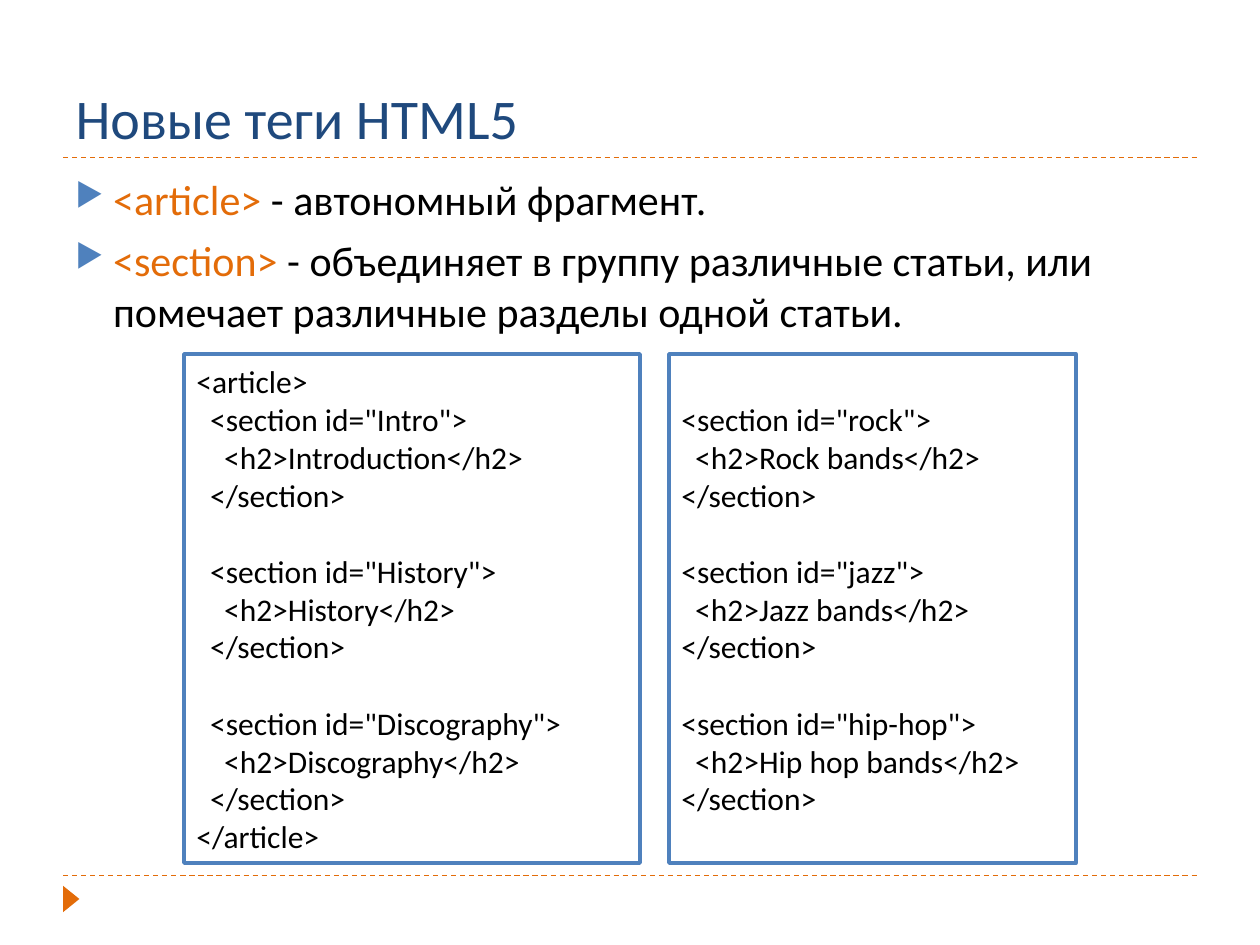
from typing import NamedTuple

from lxml import etree
from pptx import Presentation
from pptx import util as u
from pptx.dml.color import RGBColor
from pptx.enum import dml, shapes, text
from pptx.oxml import ns

NAVY = RGBColor(0x1F, 0x49, 0x7D)
BLUE = RGBColor(0x4F, 0x81, 0xBD)
ORANGE = RGBColor(0xE3, 0x6C, 0x09)
BLACK = RGBColor(0, 0, 0)
WHITE = RGBColor(0xFF, 0xFF, 0xFF)

FONT = "Calibri"
WIDTH, HEIGHT = 10, 7.5
MARGIN = 0.05 * WIDTH
CONTENT = WIDTH - 2 * MARGIN
TITLE_RULE, FOOTER_RULE = 1.25, 6.95
CODE_STEP = u.Inches(0.11)    # one level of code nesting
CODE_GAP = u.Pt(22)           # one line of code

BULLETS = [
    ("<article> ", "- автономный фрагмент."),
    ("<section> ", "- объединяет в группу различные статьи, "
                   "или помечает различные разделы одной статьи."),
]
ARTICLE_SECTIONS = [("Intro", "Introduction"), ("History", "History"),
                    ("Discography", "Discography")]
BAND_SECTIONS = [("rock", "Rock bands"), ("jazz", "Jazz bands"),
                 ("hip-hop", "Hip hop bands")]


class Box(NamedTuple):
    left: float
    top: float
    width: float
    height: float

    def emu(self):
        return [u.Inches(length) for length in self]


def apply(target, **values):
    for name, value in values.items():
        setattr(target, name, value)


def add_span(para, words, size, color):
    span = para.add_run()
    span.text = words
    apply(span.font, name=FONT, size=u.Pt(size))
    span.font.color.rgb = color


def next_para(frame, index):
    return frame.paragraphs[0] if index == 0 else frame.add_paragraph()


def add_title(page, box, words):
    title = page.shapes.title
    apply(title, **dict(zip(("left", "top", "width", "height"), box.emu())))
    frame = title.text_frame
    apply(frame, vertical_anchor=text.MSO_ANCHOR.BOTTOM, word_wrap=True,
          auto_size=text.MSO_AUTO_SIZE.NONE)
    frame.paragraphs[0].alignment = text.PP_ALIGN.LEFT
    add_span(frame.paragraphs[0], words, 32, NAVY)


def add_rule(page, box):
    left, top, width, _ = box.emu()
    rule = page.shapes.add_connector(
        shapes.MSO_CONNECTOR.STRAIGHT, left, top, left + width, top)
    rule.line.color.rgb = ORANGE
    apply(rule.line, width=u.Pt(0.75), dash_style=dml.MSO_LINE.DASH)
    etree.SubElement(rule._element.spPr, ns.qn("a:effectLst"))


def add_marker(page, box):
    marker = page.shapes.add_shape(
        shapes.MSO_SHAPE.ISOSCELES_TRIANGLE, *box.emu())
    marker.rotation = 90
    marker.shadow.inherit = False
    marker.fill.solid()
    marker.fill.fore_color.rgb = ORANGE
    marker.line.fill.background()


def set_bullet(para):
    props = para._p.get_or_add_pPr()
    indent = u.Inches(0.3)
    props.set("marL", str(indent))
    props.set("indent", str(-indent))
    color = etree.SubElement(props, ns.qn("a:buClr"))
    etree.SubElement(color, ns.qn("a:srgbClr"), val=str(BLUE))
    etree.SubElement(props, ns.qn("a:buSzPct"), val="76000")
    etree.SubElement(props, ns.qn("a:buChar"), char="▶")


def add_bullets(page, box, items):
    frame = page.shapes.add_textbox(*box.emu()).text_frame
    frame.word_wrap = True
    for index, (tag, meaning) in enumerate(items):
        para = next_para(frame, index)
        para.space_before = u.Pt(6)
        set_bullet(para)
        add_span(para, tag, 24, ORANGE)
        add_span(para, meaning, 24, BLACK)


def section_lines(sections, level):
    """List code lines as (nesting level, starts a new block, words)."""
    lines = []
    for index, (name, heading) in enumerate(sections):
        lines += [(level, index > 0, f'<section id="{name}">'),
                  (level + 1, False, f"<h2>{heading}</h2>"),
                  (level, False, "</section>")]
    return lines


def add_code(page, box, lines):
    panel = page.shapes.add_shape(shapes.MSO_SHAPE.RECTANGLE, *box.emu())
    panel.shadow.inherit = False
    panel.fill.solid()
    panel.fill.fore_color.rgb = WHITE
    panel.line.color.rgb = BLUE
    panel.line.width = u.Pt(2)
    frame = panel.text_frame
    apply(frame, word_wrap=True, vertical_anchor=text.MSO_ANCHOR.MIDDLE)
    for index, (level, new_block, words) in enumerate(lines):
        para = next_para(frame, index)
        para.alignment = text.PP_ALIGN.LEFT
        if new_block:
            para.space_before = CODE_GAP
        para._p.get_or_add_pPr().set("marL", str(level * CODE_STEP))
        add_span(para, words, 18, BLACK)


def main():
    deck = Presentation()
    apply(deck, slide_width=u.Inches(WIDTH), slide_height=u.Inches(HEIGHT))
    page = deck.slides.add_slide(deck.slide_layouts[5])

    # Frame of the page
    for top in (FOOTER_RULE, TITLE_RULE):
        add_rule(page, Box(MARGIN, top, CONTENT, 0))
    add_marker(page, Box(0.46, 7.07, 0.21, 0.13))

    # Title and definitions
    add_title(page, Box(MARGIN, 0.17, CONTENT, TITLE_RULE - 0.17),
              "Новые теги HTML5")
    add_bullets(page, Box(MARGIN, 1.33, CONTENT, 5.4), BULLETS)

    # Code samples
    article = [(0, False, "<article>"), *section_lines(ARTICLE_SECTIONS, 1),
               (0, False, "</article>")]
    add_code(page, Box(1.46, 2.81, 3.62, 4.04), article)
    add_code(page, Box(5.31, 2.81, 3.23, 4.04),
             section_lines(BAND_SECTIONS, 0))

    deck.save("out.pptx")


if __name__ == "__main__":
    main()
